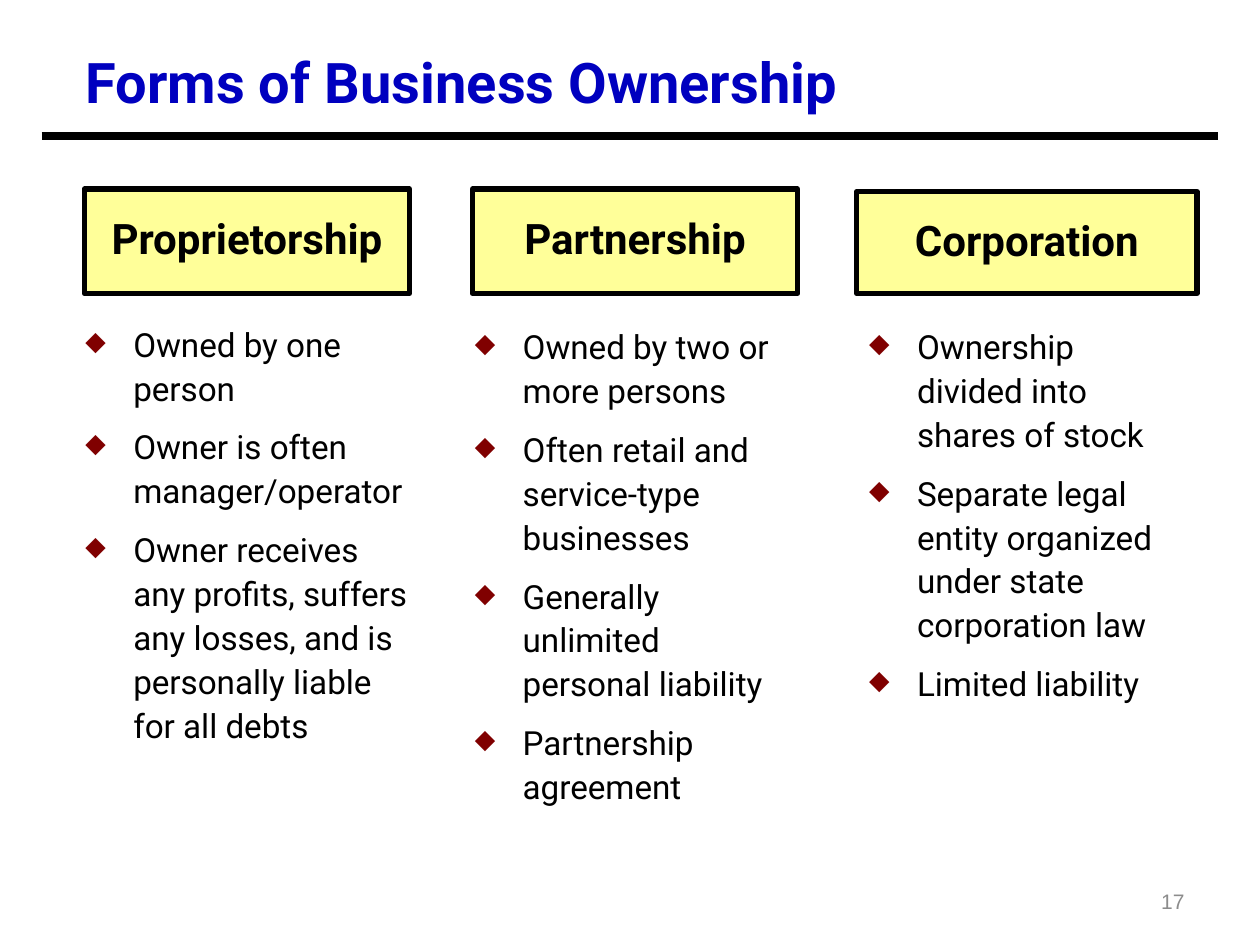
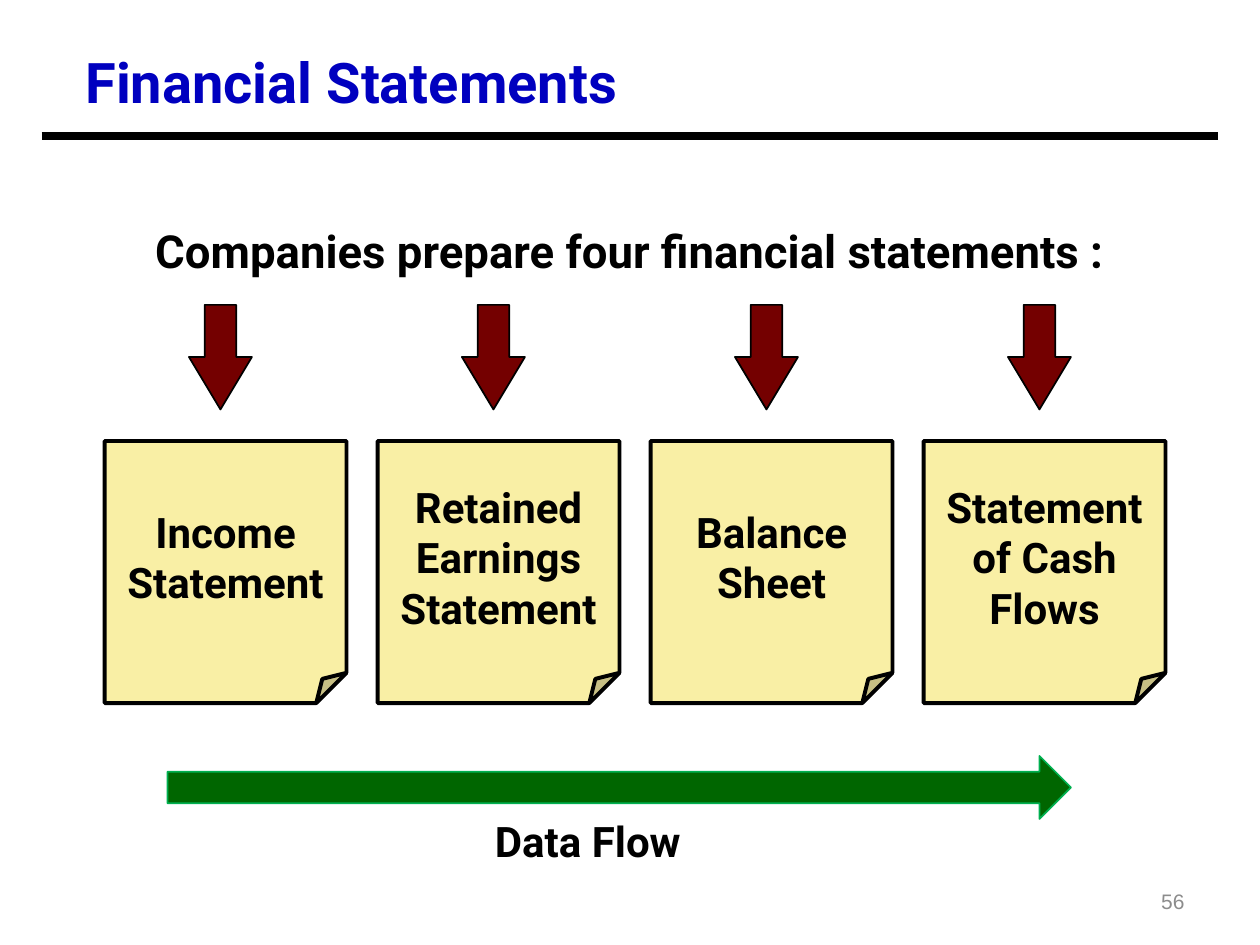
from lxml import etree
from pptx import Presentation
from pptx.dml.color import RGBColor
from pptx.enum.shapes import MSO_CONNECTOR, MSO_SHAPE
from pptx.enum.text import MSO_ANCHOR, PP_ALIGN
from pptx.oxml.ns import qn
from pptx.util import Inches, Pt

RECTANGLE = MSO_SHAPE.RECTANGLE
FOLDED_CORNER = MSO_SHAPE.FOLDED_CORNER
DOWN_ARROW = MSO_SHAPE.DOWN_ARROW
RIGHT_ARROW = MSO_SHAPE.RIGHT_ARROW
STRAIGHT = MSO_CONNECTOR.STRAIGHT
TOP, MIDDLE = MSO_ANCHOR.TOP, MSO_ANCHOR.MIDDLE
LEFT, CENTER, RIGHT = PP_ALIGN.LEFT, PP_ALIGN.CENTER, PP_ALIGN.RIGHT

BLACK = RGBColor(0x00, 0x00, 0x00)
TITLE_BLUE = RGBColor(0x00, 0x00, 0xBF)
NUMBER_GRAY = RGBColor(0x8C, 0x8C, 0x8C)
HEADER_YELLOW = RGBColor(0xFF, 0xFF, 0x99)
NOTE_YELLOW = RGBColor(0xF9, 0xEF, 0xA5)
ARROW_RED = RGBColor(0x74, 0x00, 0x00)
BULLET_RED = RGBColor(0x80, 0x00, 0x00)
FLOW_GREEN = RGBColor(0x00, 0x66, 0x00)
FLOW_EDGE = RGBColor(0x00, 0xB0, 0x50)

BODY_FONT = "Roboto"
TITLE_FORMAT = {"size": Pt(32), "bold": True, "name": BODY_FONT}
LEAD_FORMAT = {"size": Pt(26), "bold": True, "name": BODY_FONT}
LABEL_FORMAT = {"size": Pt(24), "bold": True, "name": BODY_FONT}
BULLET_FORMAT = {"size": Pt(19), "bold": False, "name": BODY_FONT}
NUMBER_FORMAT = {"size": Pt(12), "bold": False, "name": "Arial"}
HEADER_SPACING = {"space_before": Pt(3.6)}
LEAD_SPACING = {"space_before": Pt(13)}
BULLET_SPACING = {"space_before": Pt(8.55), "line_spacing": 1.1}

OWNERSHIP_FORMS = [
    ("Proprietorship", (0.67, 1.5, 2.58, 0.83), (0.58, 2.42, 2.83, 4.42), [
        "Owned by one person",
        "Owner is often manager/operator",
        "Owner receives any profits, suffers any losses, and is personally liable for all debts",
    ]),
    ("Partnership", (3.75, 1.5, 2.58, 0.83), (3.67, 2.44, 2.69, 4.39), [
        "Owned by two or more persons",
        "Often retail and service-type businesses",
        "Generally unlimited personal liability",
        "Partnership agreement",
    ]),
    ("Corporation", (6.8, 1.52, 2.7, 0.81), (6.8, 2.44, 2.69, 4.4), [
        "Ownership divided into shares of stock",
        "Separate legal entity organized under state corporation law",
        "Limited liability",
    ]),
]
STATEMENTS = ["Income Statement", "Retained Earnings Statement",
              "Balance Sheet", "Statement of Cash Flows"]
STATEMENT_STEP = 6.5 / 3


def apply(target, values):
    for name, value in values.items():
        setattr(target, name, value)


def write(holder, lines, font, color=BLACK, align=LEFT, anchor=TOP,
          spacing=None, top=0.05):
    frame = holder.text_frame
    apply(frame, {"word_wrap": True, "vertical_anchor": anchor,
                  "margin_left": Inches(0.1), "margin_right": Inches(0.1),
                  "margin_top": Inches(top), "margin_bottom": Inches(0.05)})
    for index, line in enumerate(lines):
        para = frame.paragraphs[0] if index == 0 else frame.add_paragraph()
        apply(para, {"alignment": align, **(spacing or {})})
        span = para.add_run()
        span.text = line
        apply(span.font, font)
        span.font.color.rgb = color
    return frame


def add_text(page, place, lines, font, **options):
    box = page.shapes.add_textbox(*map(Inches, place))
    return write(box, lines, font, **options)


def add_figure(page, kind, place, fill, edge, width):
    figure = page.shapes.add_shape(kind, *map(Inches, place))
    figure.shadow.inherit = False
    figure.fill.solid()
    figure.fill.fore_color.rgb = fill
    figure.line.color.rgb = edge
    figure.line.width = Pt(width)
    return figure


def set_guides(figure, guides):
    geometry = figure._element.spPr.find(qn("a:prstGeom"))
    for old_list in geometry.findall(qn("a:avLst")):
        geometry.remove(old_list)
    guide_list = etree.SubElement(geometry, qn("a:avLst"))
    for name, value in guides.items():
        etree.SubElement(guide_list, qn("a:gd"), name=name, fmla=f"val {value}")


def add_bullets(page, place, lines):
    frame = add_text(page, place, lines, BULLET_FORMAT,
                     spacing=BULLET_SPACING, top=0.12)
    for para in frame.paragraphs:
        settings = para._p.get_or_add_pPr()
        settings.set("marL", str(Inches(0.38)))
        settings.set("indent", str(-Inches(0.38)))
        color = etree.SubElement(settings, qn("a:buClr"))
        etree.SubElement(color, qn("a:srgbClr"), val=str(BULLET_RED))
        etree.SubElement(settings, qn("a:buSzPct"), val="80000")
        etree.SubElement(settings, qn("a:buChar"), char="◆")


def add_page(deck, title, number):
    page = deck.slides.add_slide(deck.slide_layouts[6])
    rule = page.shapes.add_connector(
        STRAIGHT, Inches(0.33), Inches(1.08), Inches(9.67), Inches(1.08))
    rule.line.color.rgb = BLACK
    rule.line.width = Pt(4.5)
    etree.SubElement(rule._element.spPr, qn("a:effectLst"))
    add_text(page, (0.58, 0.33, 8.83, 0.61), [title], TITLE_FORMAT,
             color=TITLE_BLUE)
    add_text(page, (7.17, 6.95, 2.33, 0.4), [number], NUMBER_FORMAT,
             color=NUMBER_GRAY, align=RIGHT, anchor=MIDDLE)
    return page


def add_ownership_page(deck):
    page = add_page(deck, "Forms of Business Ownership", "17")
    for name, header_place, list_place, points in OWNERSHIP_FORMS:
        header = add_figure(page, RECTANGLE, header_place, HEADER_YELLOW, BLACK, 3)
        write(header, [name], LABEL_FORMAT, align=CENTER, anchor=MIDDLE,
              spacing=HEADER_SPACING, top=0)
        add_bullets(page, list_place, points)


def add_statements_page(deck):
    page = add_page(deck, "Financial Statements", "56")
    add_text(page, (0.75, 1.72, 8.5, 0.53),
             ["Companies prepare four financial statements :"], LEAD_FORMAT,
             align=CENTER, spacing=LEAD_SPACING)
    for index, name in enumerate(STATEMENTS):
        offset = index * STATEMENT_STEP
        note = add_figure(page, FOLDED_CORNER, (0.83 + offset, 3.5, 1.92, 2.08),
                          NOTE_YELLOW, BLACK, 2.25)
        set_guides(note, {"adj": 12500})
        write(note, [name], LABEL_FORMAT, align=CENTER, anchor=MIDDLE)
        arrow = add_figure(page, DOWN_ARROW, (1.5 + offset, 2.42, 0.5, 0.83),
                           ARROW_RED, BLACK, 1)
        set_guides(arrow, {"adj1": 50000, "adj2": 83300})
    add_figure(page, RIGHT_ARROW, (1.33, 6, 7.17, 0.5), FLOW_GREEN, FLOW_EDGE, 1)
    add_text(page, (2, 6.42, 5.33, 0.5), ["Data Flow"], LABEL_FORMAT, align=CENTER)


def main():
    deck = Presentation()
    apply(deck, {"slide_width": Inches(10), "slide_height": Inches(7.5)})
    add_ownership_page(deck)
    add_statements_page(deck)
    deck.save("out.pptx")


if __name__ == "__main__":
    main()
